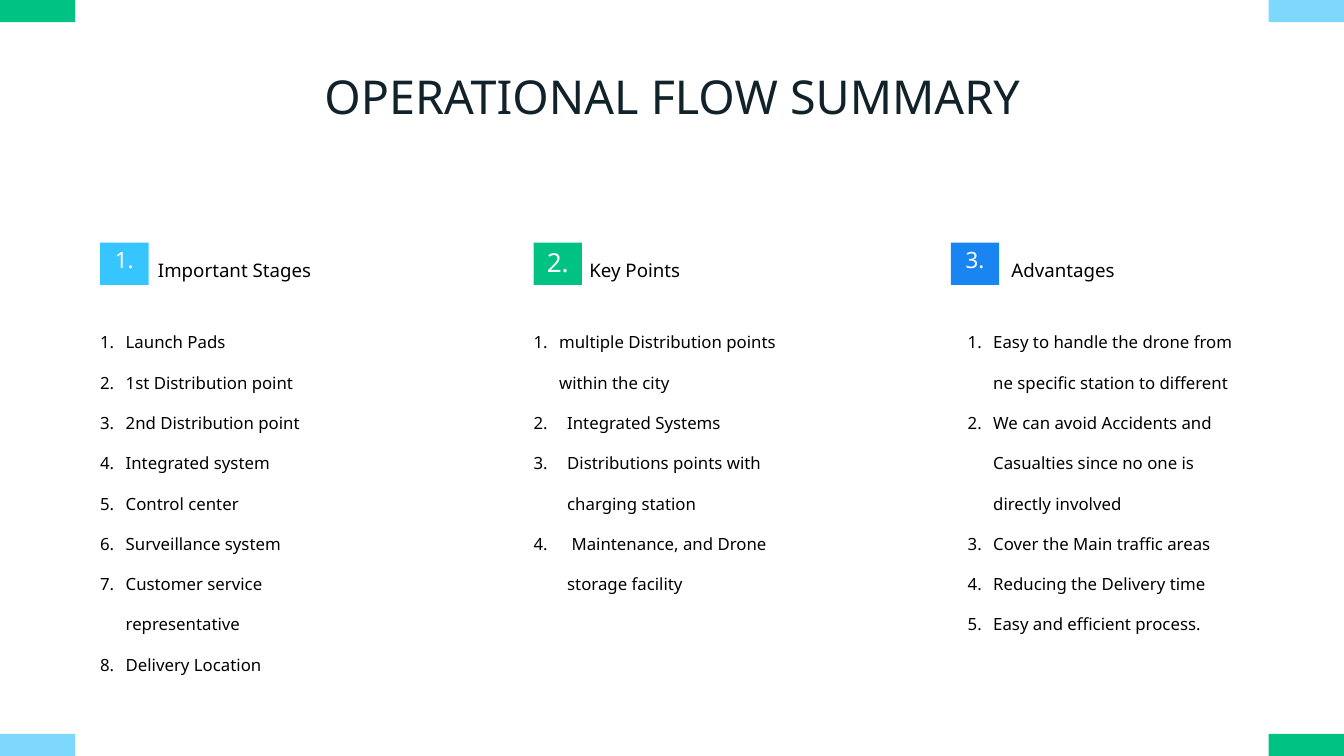
from lxml import etree
from pptx import Presentation
from pptx.dml.color import RGBColor
from pptx.enum.shapes import MSO_SHAPE as Shape
from pptx.enum.text import MSO_ANCHOR as Anchor, PP_ALIGN as Align
from pptx.oxml.ns import qn
from pptx.util import Inches, Pt

WHITE = RGBColor(0xFF, 0xFF, 0xFF)
BLACK = RGBColor(0, 0, 0)
INK = RGBColor(0x12, 0x22, 0x2B)
GREEN = RGBColor(0x00, 0xC2, 0x82)
PALE = RGBColor(0x7E, 0xD8, 0xFD)
SKY = RGBColor(0x36, 0xC5, 0xFF)
BLUE = RGBColor(0x18, 0x85, 0xF1)

WIDE, HIGH = 20, 11.25
BAR_W, BAR_H = 1.12, 0.33

prs = Presentation()
prs.slide_width, prs.slide_height = Inches(WIDE), Inches(HIGH)
slide = prs.slides.add_slide(prs.slide_layouts[6])


def add_box(x, y, w, h, color):
    box = slide.shapes.add_shape(Shape.RECTANGLE, Inches(x), Inches(y), Inches(w), Inches(h))
    box.shadow.inherit = False
    box.fill.solid()
    box.fill.fore_color.rgb = color
    box.line.fill.background()
    return box.text_frame


def add_text(x, y, w, h, lines, size, color, **form):
    frame = slide.shapes.add_textbox(Inches(x), Inches(y), Inches(w), Inches(h)).text_frame
    frame.word_wrap = True
    for side in ("left", "top", "right", "bottom"):
        setattr(frame, f"margin_{side}", 0)
    for i, line in enumerate(lines):
        para = frame.paragraphs[0] if i == 0 else frame.add_paragraph()
        para.text = line
        for key, val in form.items():
            setattr(para, key, val)
        for key, val in {"name": "Noto Sans", "size": Pt(size)}.items():
            setattr(para.runs[0].font, key, val)
        para.runs[0].font.color.rgb = color
    return frame


for x, y, color in (
    (0, HIGH - BAR_H, PALE),
    (WIDE - BAR_W, 0, PALE),
    (0, 0, GREEN),
    (WIDE - BAR_W, HIGH - BAR_H, GREEN),
):
    add_box(x, y, BAR_W, BAR_H, color)

add_text(3.47, 1.04, 13.07, 0.81, ["OPERATIONAL FLOW SUMMARY"], 50, INK,
         alignment=Align.CENTER, line_spacing=Pt(58))

columns = [
    ("1.", 24, SKY, 1.49, 2.35, "Important Stages", 1.49, 6.14, 0.38, [
        "Launch Pads",
        "1st Distribution point",
        "2nd Distribution point",
        "Integrated system",
        "Control center",
        "Surveillance system",
        "Customer service representative",
        "Delivery Location",
    ]),
    ("2.", 28, GREEN, 7.94, 8.77, "Key Points", 7.94, 4.15, 0.5, [
        "multiple Distribution points within the city",
        "Integrated Systems",
        "Distributions points with charging station",
        " Maintenance, and Drone storage facility",
    ]),
    ("3.", 24, BLUE, 14.15, 15.05, "Advantages", 14.4, 6.03, 0.38, [
        "Easy to handle the drone from ne specific station to different",
        "We can avoid Accidents and Casualties since no one is directly involved",
        "Cover the Main traffic areas",
        "Reducing the Delivery time",
        "Easy and efficient process.",
    ]),
]

for num, size, color, left, head_x, head, list_x, list_h, dent, items in columns:
    frame = add_box(left, 3.61, 0.72, 0.63, color)
    frame.vertical_anchor = Anchor.TOP
    para = frame.paragraphs[0]
    para.text, para.alignment = num, Align.CENTER
    for key, val in {"name": "Noto Sans", "size": Pt(size)}.items():
        setattr(para.runs[0].font, key, val)
    para.runs[0].font.color.rgb = WHITE

    add_text(head_x, 3.69, 2.81, 0.45, [head], 20, BLACK, line_spacing=1.5)

    body = add_text(list_x, 4.64, 4.11, list_h, items, 18, BLACK, line_spacing=2.0)
    for i, para in enumerate(body.paragraphs):
        props = para._p.get_or_add_pPr()
        gap = Inches(dent if i else 0.38)
        props.set("marL", str(gap))
        props.set("indent", str(-gap))
        etree.SubElement(props, qn("a:buFont"), typeface="+mj-lt")
        etree.SubElement(props, qn("a:buAutoNum"), type="arabicPeriod")

prs.save("out.pptx")
